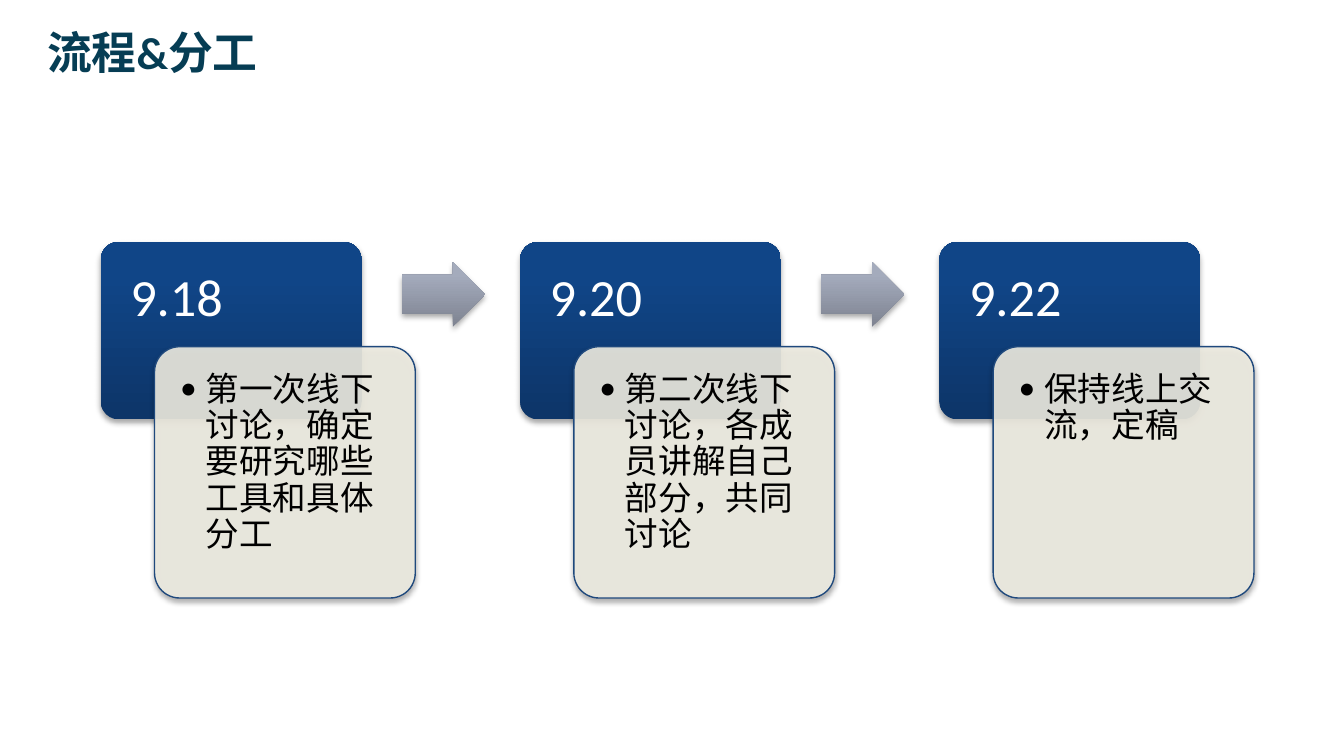
"""Build the slide on the process and division of work."""

import copy
from dataclasses import dataclass

import pptx
import pptx.dml.color
import pptx.enum.shapes
import pptx.enum.text
import pptx.oxml
import pptx.oxml.ns
import pptx.util

Inches = pptx.util.Inches
Pt = pptx.util.Pt
MSO_SHAPE = pptx.enum.shapes.MSO_SHAPE
qn = pptx.oxml.ns.qn

COLORS = {
    "title": "063D54",
    "date": "FFFFFF",
    "task": "000000",
    "card": "EEECE1",
    "border": "1F497D",
    "shadow": "000000",
}
BLUE_STOPS = ((0, "0D3568"), (0.8, "104587"), (1, "0E458A"))
GREY_STOPS = ((0, "7E8391"), (0.8, "A4ABBC"), (1, "A4ABBE"))
FONT = "Calibri"
STEP_LEFT = 0.75
STEP_PITCH = 3.12


@dataclass
class Step:
    date: str
    task: str


@dataclass
class Box:
    left: float
    top: float
    width: float
    height: float

    def lengths(self) -> tuple:
        return tuple(Inches(v) for v in (self.left, self.top, self.width, self.height))


STEPS = (
    Step("9.18", "第一次线下讨论，确定要研究哪些工具和具体分工"),
    Step("9.20", "第二次线下讨论，各成员讲解自己部分，共同讨论"),
    Step("9.22", "保持线上交流，定稿"),
)


def rgb(color: str) -> pptx.dml.color.RGBColor:
    return pptx.dml.color.RGBColor.from_string(color)


def add_shadowed(slide, kind, box: Box, adjustments: tuple):
    shape = slide.shapes.add_shape(kind, *box.lengths())
    for index, value in enumerate(adjustments):
        shape.adjustments[index] = value
    shape.line.fill.background()
    shape.shadow.inherit = False
    effects = shape._element.spPr.find(qn("a:effectLst"))
    effects.append(pptx.oxml.parse_xml(
        f'<a:outerShdw {pptx.oxml.ns.nsdecls("a")} blurRad="{Pt(3.1)}" dist="{Pt(1.8)}" '
        f'dir="5400000" rotWithShape="0"><a:srgbClr val="{COLORS["shadow"]}">'
        '<a:alpha val="35000"/></a:srgbClr></a:outerShdw>'
    ))
    return shape


def fill_gradient(shape, stops: tuple) -> None:
    shape.fill.gradient()
    shape.fill.gradient_angle = 90
    stop_list = next(shape._element.spPr.iter(qn("a:gsLst")))
    stop_list.append(copy.deepcopy(stop_list[-1]))
    for stop, (position, color) in zip(shape.fill.gradient_stops, stops):
        stop.position = position
        stop.color.rgb = rgb(color)


def add_text(slide, box: Box, text: str, size: float, color: str, insets: tuple,
             spacing, bold: bool = False, bullet: bool = False) -> None:
    frame = slide.shapes.add_textbox(*box.lengths()).text_frame
    frame.word_wrap = True
    frame.vertical_anchor = pptx.enum.text.MSO_ANCHOR.TOP
    frame.margin_left, frame.margin_top, frame.margin_right, frame.margin_bottom = (
        Inches(inset) for inset in insets
    )
    paragraph = frame.paragraphs[0]
    paragraph.line_spacing = spacing
    if bullet:
        paragraph.level = 1
        properties = paragraph._p.get_or_add_pPr()
        properties.set("marL", str(Inches(0.19)))
        properties.set("indent", str(Inches(-0.19)))
        for mark in (f'buFont {{}} typeface="{FONT}"', 'buChar {} char="•"'):
            properties.append(pptx.oxml.parse_xml(
                f'<a:{mark.format(pptx.oxml.ns.nsdecls("a"))}/>'
            ))
    run = paragraph.add_run()
    run.text = text
    run.font.size = Pt(size)
    run.font.name = FONT
    run.font.bold = bold
    run.font.color.rgb = rgb(color)


def add_step(slide, step: Step, left: float, has_next: bool) -> None:
    date_card = add_shadowed(
        slide, MSO_SHAPE.ROUNDED_RECTANGLE, Box(left, 1.8, 1.94, 1.32), (0.1,))
    fill_gradient(date_card, BLUE_STOPS)
    add_text(slide, Box(left, 1.8, 1.94, 0.78), step.date, 28, COLORS["date"],
             (0.22, 0.22, 0.22, 0.12), 0.9)

    task_card = add_shadowed(
        slide, MSO_SHAPE.ROUNDED_RECTANGLE, Box(left + 0.4, 2.58, 1.94, 1.87), (0.1,))
    task_card.fill.solid()
    task_card.fill.fore_color.rgb = rgb(COLORS["card"])
    card_color = task_card._element.spPr.find(qn("a:solidFill"))[0]
    card_color.append(pptx.oxml.parse_xml(
        f'<a:alpha {pptx.oxml.ns.nsdecls("a")} val="90000"/>'
    ))
    task_card.line.color.rgb = rgb(COLORS["border"])
    task_card.line.width = Pt(0.75)
    add_text(slide, Box(left + 0.45, 2.63, 1.83, 1.76), step.task, 18, COLORS["task"],
             (0.14,) * 4, 0.9, bullet=True)

    if has_next:
        arrow = add_shadowed(
            slide, MSO_SHAPE.RIGHT_ARROW, Box(left + 2.24, 1.95, 0.62, 0.48), (0.6, 0.5))
        fill_gradient(arrow, GREY_STOPS)


def main() -> None:
    presentation = pptx.Presentation()
    presentation.slide_width = Inches(10)
    presentation.slide_height = Inches(10) * 9 // 16
    slide = presentation.slides.add_slide(presentation.slide_layouts[6])
    add_text(slide, Box(0.35, 0.21, 4.59, 0.42), "流程&分工", 24, COLORS["title"],
             (0, 0, 0, 0.04), Pt(27), bold=True)
    for index, step in enumerate(STEPS):
        add_step(slide, step, STEP_LEFT + index * STEP_PITCH, index < len(STEPS) - 1)
    presentation.save("out.pptx")


if __name__ == "__main__":
    main()
